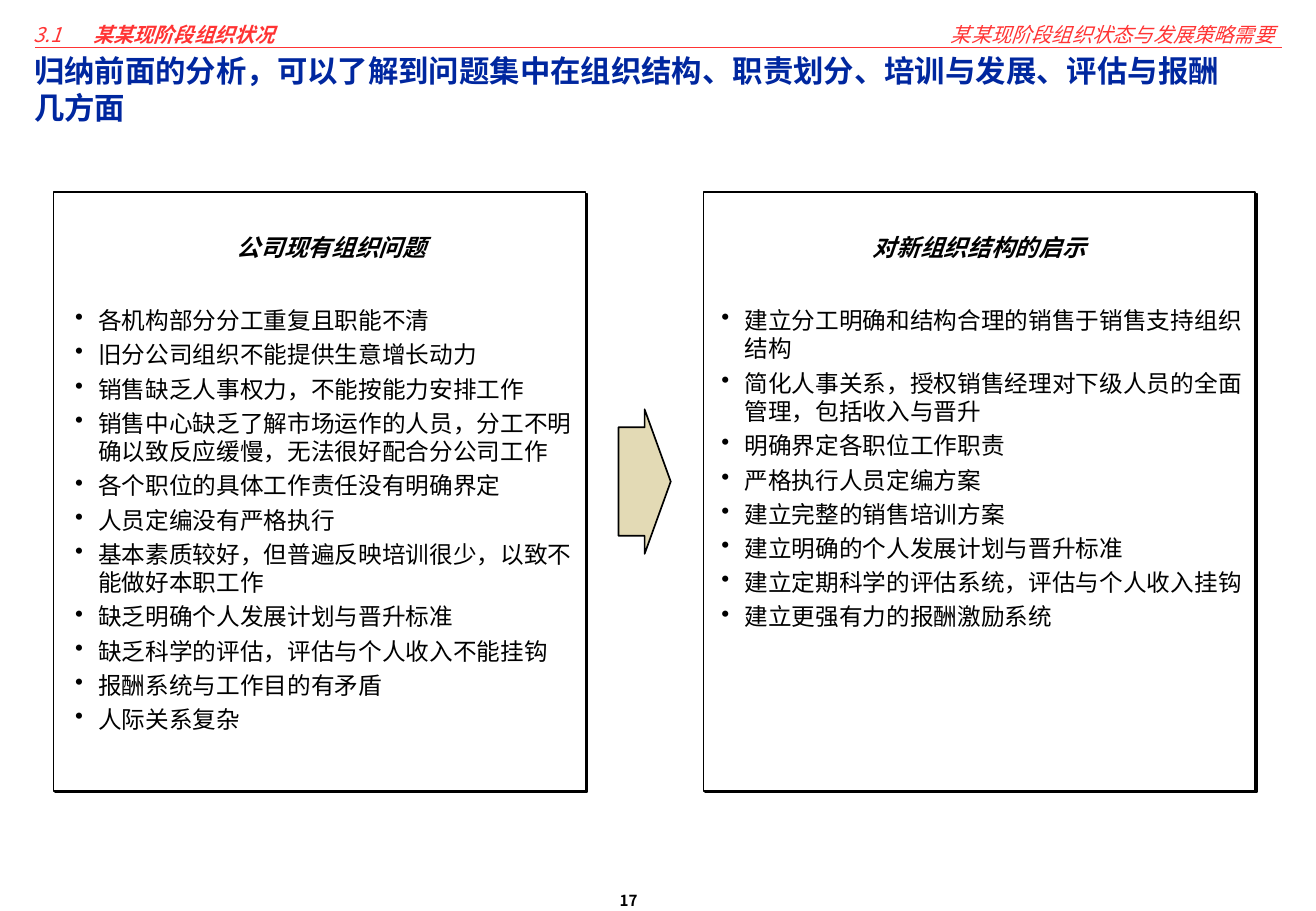
from lxml import etree
from pptx import Presentation, util as u
from pptx.dml.color import RGBColor
from pptx.enum import shapes, text
from pptx.oxml.ns import qn

FACE = "Noto Sans CJK SC"
INK, RED, NAVY, SAND, WHITE = "000000", "FF3434", "00279F", "E3DAB5", "FFFFFF"

deck = Presentation()
deck.slide_width, deck.slide_height = u.Inches(10.83), u.Inches(7.5)
column, row = deck.slide_width / 100, deck.slide_height / 100
slide = deck.slides.add_slide(deck.slide_layouts[5])
add = slide.shapes


def grid(x, y, w, h):
    return round(x * column), round(y * row), round(w * column), round(h * row)


def write(holder, place, paragraphs, size, color=INK, align="LEFT", inset=(0.1, 0.05),
          bullet=False, wrap=True, tab=None):
    holder.left, holder.top, holder.width, holder.height = grid(*place)
    frame = holder.text_frame
    across, down = map(u.Inches, inset)
    layout = dict(margin_left=across, margin_right=across, margin_top=down, margin_bottom=down,
                  word_wrap=wrap, auto_size=text.MSO_AUTO_SIZE.NONE,
                  vertical_anchor=text.MSO_ANCHOR.TOP)
    for key, value in layout.items():
        setattr(frame, key, value)
    for index, runs in enumerate(paragraphs):
        paragraph = frame.add_paragraph() if index else frame.paragraphs[0]
        spacing = dict(alignment=text.PP_ALIGN[align], line_spacing=u.Pt(size * 1.2),
                       space_before=u.Pt(3.5 if index else 0))
        for key, value in spacing.items():
            setattr(paragraph, key, value)
        props = paragraph._p.get_or_add_pPr()
        if bullet:
            props.set("marL", str(u.Inches(0.19)))
            props.set("indent", str(-u.Inches(0.19)))
            etree.SubElement(props, qn("a:buChar"), char="•")
        if tab:
            stops = etree.SubElement(props, qn("a:tabLst"))
            etree.SubElement(stops, qn("a:tab"), pos=str(u.Inches(tab)), algn="l")
        for words, bold, italic in runs:
            run = paragraph.add_run()
            run.text = words
            run.font.color.rgb = RGBColor.from_string(color)
            for key, value in dict(size=u.Pt(size), bold=bold, italic=italic, name=FACE).items():
                setattr(run.font, key, value)
            etree.SubElement(run._r.get_or_add_rPr(), qn("a:ea"), typeface=FACE)


x1, y1, x2, y2 = grid(2.68, 5.2, 97.41, 5.2)
header_rule = add.add_connector(shapes.MSO_CONNECTOR.STRAIGHT, x1, y1, x2, y2)
header_rule.line.color.rgb = RGBColor.from_string(RED)
header_rule.line.width = u.Pt(1)
etree.SubElement(header_rule._element.spPr, qn("a:effectLst"))

write(add.title, (1.66, 4.4, 92.8, 11.6),
      [[("归纳前面的分析，可以了解到问题集中在组织结构、职责划分、培训与发展、评估与报酬几方面", True, False)]],
      18, NAVY, inset=(0.1, 0.1))

problems = [
    "各机构部分分工重复且职能不清",
    "旧分公司组织不能提供生意增长动力",
    "销售缺乏人事权力，不能按能力安排工作",
    "销售中心缺乏了解市场运作的人员，分工不明确以致反应缓慢，无法很好配合分公司工作",
    "各个职位的具体工作责任没有明确界定",
    "人员定编没有严格执行",
    "基本素质较好，但普遍反映培训很少，以致不能做好本职工作",
    "缺乏明确个人发展计划与晋升标准",
    "缺乏科学的评估，评估与个人收入不能挂钩",
    "报酬系统与工作目的有矛盾",
    "人际关系复杂",
]
lessons = [
    "建立分工明确和结构合理的销售于销售支持组织结构",
    "简化人事关系，授权销售经理对下级人员的全面管理，包括收入与晋升",
    "明确界定各职位工作职责",
    "严格执行人员定编方案",
    "建立完整的销售培训方案",
    "建立明确的个人发展计划与晋升标准",
    "建立定期科学的评估系统，评估与个人收入挂钩",
    "建立更强有力的报酬激励系统",
]
sides = [
    ("公司现有组织问题", problems, (4.06, 40.44), (11.91, 26.59), (4.8, 39.8), 48.27),
    ("对新组织结构的启示", lessons, (53.46, 41.92), (61.87, 25.12), (53.92, 42.11), 36.93),
]
outlines = [(shapes.MSO_SHAPE.RECTANGLE, (x, 21.07, w, 65.73), WHITE)
            for _, _, (x, w), *_ in sides]
outlines.append((shapes.MSO_SHAPE.RIGHT_ARROW, (47, 44.93, 3.97, 15.87), SAND))
for preset, place, color in outlines:
    outline = add.add_shape(preset, *grid(*place))
    outline.shadow.inherit = False
    outline.fill.solid()
    outline.fill.fore_color.rgb = RGBColor.from_string(color)
    outline.line.color.rgb = RGBColor.from_string(INK)
    outline.line.width = u.Pt(1)
    if preset == shapes.MSO_SHAPE.RIGHT_ARROW:
        outline.adjustments[0] = 0.75
    else:
        effects = outline._element.spPr.find(qn("a:effectLst"))
        cast = etree.SubElement(effects, qn("a:outerShdw"), blurRad="0", dist=str(u.Pt(1.4)),
                                dir="2700000", algn="tl", rotWithShape="0")
        etree.SubElement(cast, qn("a:srgbClr"), val=INK)

for heading, points, _, (head_x, head_w), (list_x, list_w), list_h in sides:
    write(add.add_textbox(0, 0, 0, 0), (head_x, 24.93, head_w, 4.4),
          [[(heading, True, True)]], 14, align="CENTER")
    write(add.add_textbox(0, 0, 0, 0), (list_x, 32.93, list_w, list_h),
          [[(point, False, False)] for point in points], 14, bullet=True)

write(add.add_textbox(0, 0, 0, 0), (1.66, 1.07, 28.07, 5.33),
      [[("3.1\t ", False, True), ("某某现阶段组织状况", True, True)]],
      12, RED, inset=(0.1, 0.1), tab=0.45)
write(add.add_textbox(0, 0, 0, 0), (69.71, 1.07, 28.07, 5.33),
      [[("某某现阶段组织状态与发展策略需要", False, True)]],
      12, RED, "RIGHT", inset=(0.1, 0.1))
write(add.add_textbox(0, 0, 0, 0), (47.09, 97.87, 6, 2.27),
      [[("17", True, False)]], 9, inset=(0, 0), wrap=False)

deck.save("out.pptx")
